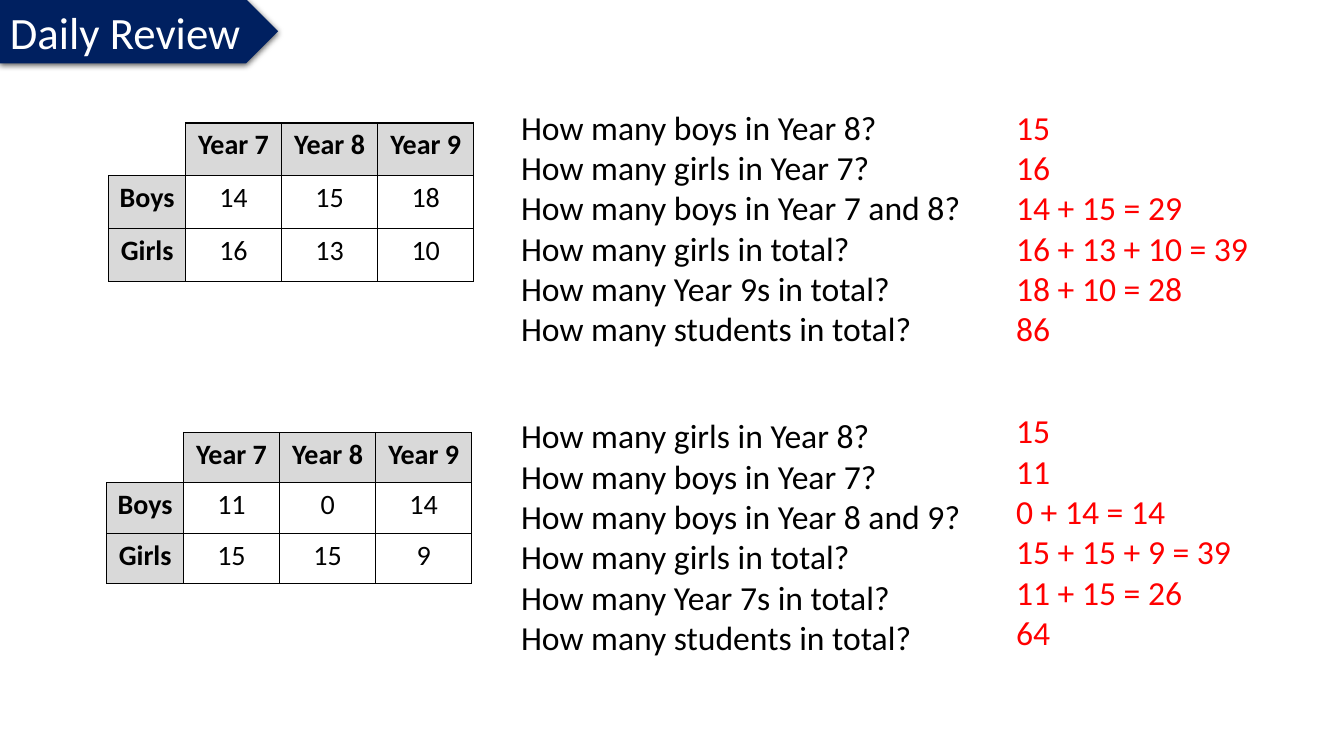
"""Build the Daily Review slide with two frequency tables, questions and answers."""
from lxml import etree
from pptx import Presentation
from pptx.dml.color import RGBColor
from pptx.enum.shapes import MSO_SHAPE
from pptx.enum.text import MSO_ANCHOR, MSO_AUTO_SIZE, PP_ALIGN
from pptx.oxml import parse_xml
from pptx.util import Inches, Pt

PENTAGON = MSO_SHAPE.PENTAGON
MIDDLE, TOP = MSO_ANCHOR.MIDDLE, MSO_ANCHOR.TOP
GROW = MSO_AUTO_SIZE.SHAPE_TO_FIT_TEXT
LEFT, CENTER = PP_ALIGN.LEFT, PP_ALIGN.CENTER
NS = "http://schemas.openxmlformats.org/drawingml/2006/main"

TITLE = "Daily Review"
REVIEWS = [
    {
        "table": [["", "Year 7", "Year 8", "Year 9"],
                  ["Boys", "14", "15", "18"],
                  ["Girls", "16", "13", "10"]],
        "table_at": (1.08, 1.22), "row_h": 0.525,
        "questions": ["How many boys in Year 8?", "How many girls in Year 7?",
                      "How many boys in Year 7 and 8?", "How many girls in total?",
                      "How many Year 9s in total?", "How many students in total?"],
        "questions_y": 1.01,
        "answers": ["15", "16", "14 + 15 = 29", "16 + 13 + 10 = 39",
                    "18 + 10 = 28", "86"],
        "answers_y": 1.01,
    },
    {
        "table": [["", "Year 7", "Year 8", "Year 9"],
                  ["Boys", "11", "0", "14"],
                  ["Girls", "15", "15", "9"]],
        "table_at": (1.06, 4.29), "row_h": 0.5,
        "questions": ["How many girls in Year 8?", "How many boys in Year 7?",
                      "How many boys in Year 8 and 9?", "How many girls in total?",
                      "How many Year 7s in total?", "How many students in total?"],
        "questions_y": 4.07,
        "answers": ["15", "11", "0 + 14 = 14", "15 + 15 + 9 = 39",
                    "11 + 15 = 26", "64"],
        "answers_y": 4.02,
    },
]
TABLE_W, LABEL_W = 3.62, 0.76
QUESTIONS_X, QUESTIONS_W, QUESTIONS_H = 5.07, 7.03, 2.83
ANSWERS_X, ANSWERS_W, ANSWERS_H = 9.98, 2.97, 2.93
NAVY, WHITE, BLACK, RED, GREY = "002060", "FFFFFF", "000000", "FF0000", "D9D9D9"


def rgb(color):
    return RGBColor.from_string(color)


def write(tf, lines, size, color, bold=False, align=LEFT, spacing=None):
    for i, line in enumerate(lines):
        p = tf.paragraphs[0] if i == 0 else tf.add_paragraph()
        p.alignment = align
        if spacing:
            p.line_spacing = spacing
        r = p.add_run()
        r.text = line
        for name, value in {"name": "Calibri", "size": Pt(size), "bold": bold}.items():
            setattr(r.font, name, value)
        r.font.color.rgb = rgb(color)


def add_banner(s):
    sp = s.shapes.add_shape(PENTAGON, 0, Inches(-0.01), Inches(2.76), Inches(0.64))
    sp.fill.solid()
    sp.fill.fore_color.rgb = rgb(NAVY)
    sp.line.fill.background()
    sp._element.spPr.append(parse_xml(
        f'<a:effectLst xmlns:a="{NS}"><a:outerShdw blurRad="{Pt(4.5)}" dist="{Pt(1.5)}" '
        f'dir="5400000" rotWithShape="0"><a:srgbClr val="{BLACK}">'
        '<a:alpha val="63000"/></a:srgbClr></a:outerShdw></a:effectLst>'))
    tf = sp.text_frame
    tf.word_wrap = False
    tf.auto_size = GROW
    tf.vertical_anchor = MIDDLE
    write(tf, [TITLE], 32, WHITE)


def add_lines(s, x, y, w, h, lines, color):
    tf = s.shapes.add_textbox(Inches(x), Inches(y), Inches(w), Inches(h)).text_frame
    tf.word_wrap = True
    tf.auto_size = GROW
    write(tf, lines, 24, color)


def set_borders(cell, sides):
    tcPr = cell._tc.get_or_add_tcPr()
    for i, side in enumerate(("lnL", "lnR", "lnT", "lnB")):
        ln = etree.Element(f"{{{NS}}}{side}", w=str(Pt(1)))
        if side in sides:
            fill = etree.SubElement(ln, f"{{{NS}}}solidFill")
            etree.SubElement(fill, f"{{{NS}}}srgbClr", val=BLACK)
        else:
            etree.SubElement(ln, f"{{{NS}}}noFill")
        tcPr.insert(i, ln)


def add_counts(s, x, y, row_h, rows):
    n_rows, n_cols = len(rows), len(rows[0])
    table = s.shapes.add_table(n_rows, n_cols, Inches(x), Inches(y),
                               Inches(TABLE_W), Inches(row_h * n_rows)).table
    table.first_row = table.horz_banding = False
    year_w = (TABLE_W - LABEL_W) / (n_cols - 1)
    for j, column in enumerate(table.columns):
        column.width = Inches(year_w if j else LABEL_W)
    for i, row in enumerate(rows):
        table.rows[i].height = Inches(row_h)
        for j, text in enumerate(row):
            cell = table.cell(i, j)
            corner, header = i == j == 0, i == 0 or j == 0
            cell.margin_left = cell.margin_right = Inches(0.07)
            cell.margin_top = cell.margin_bottom = 0
            cell.vertical_anchor = TOP
            if header and not corner:
                cell.fill.solid()
                cell.fill.fore_color.rgb = rgb(GREY)
            else:
                cell.fill.background()
            set_borders(cell, ("lnR", "lnB") if corner else ("lnL", "lnR", "lnT", "lnB"))
            if text:
                write(cell.text_frame, [text], 20, BLACK, header, CENTER, 1.15)


def main():
    prs = Presentation()
    prs.slide_width, prs.slide_height = Inches(13.33), Inches(7.5)
    s = prs.slides.add_slide(prs.slide_layouts[6])
    add_banner(s)
    for review in REVIEWS:
        add_counts(s, *review["table_at"], review["row_h"], review["table"])
        add_lines(s, QUESTIONS_X, review["questions_y"], QUESTIONS_W, QUESTIONS_H,
                  review["questions"], BLACK)
        add_lines(s, ANSWERS_X, review["answers_y"], ANSWERS_W, ANSWERS_H,
                  review["answers"], RED)
    prs.save("out.pptx")


if __name__ == "__main__":
    main()
